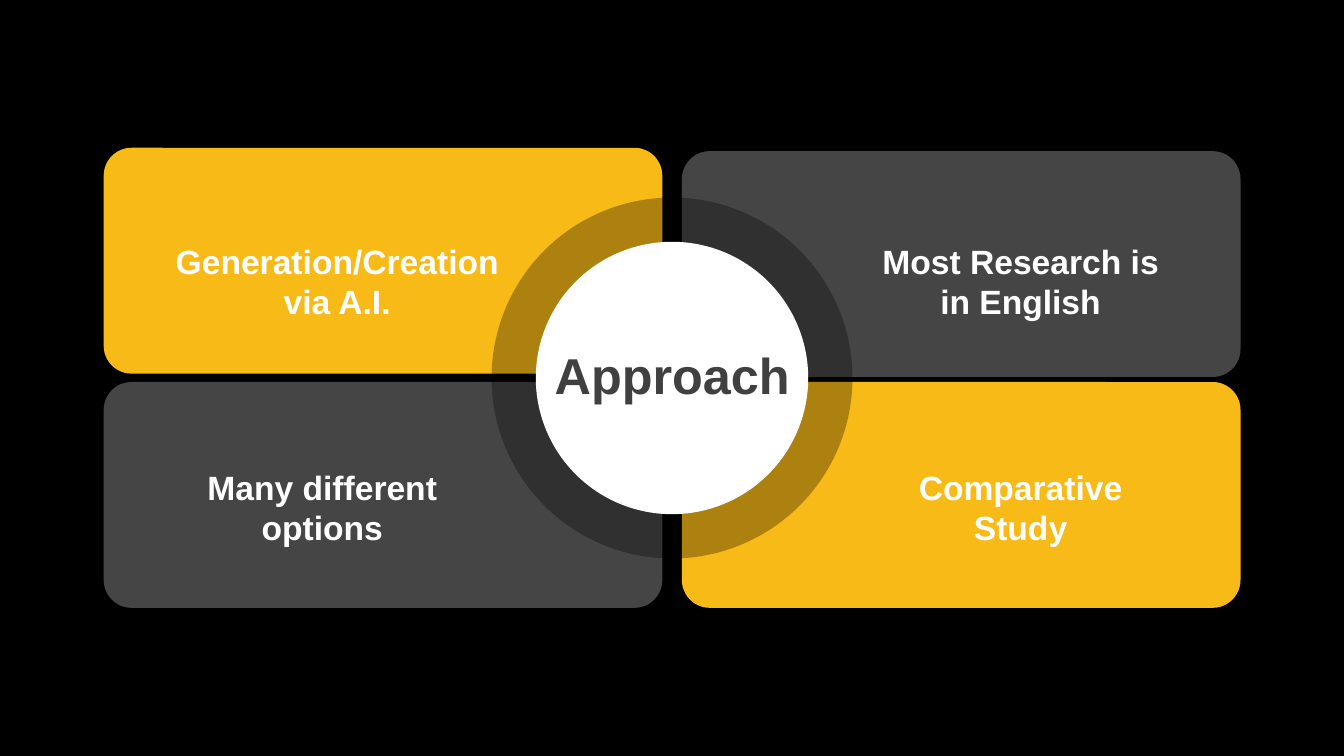
from lxml.etree import SubElement
from pptx import Presentation
from pptx.dml.color import RGBColor
from pptx.enum.shapes import MSO_SHAPE
from pptx.enum.text import MSO_ANCHOR, MSO_AUTO_SIZE, PP_ALIGN
from pptx.oxml.ns import qn
from pptx.util import Pt

BLACK, WHITE, GREY, GOLD, CHARCOAL = "000000", "FFFFFF", "454545", "F8BA16", "404040"


def paint(color, value):
    color.rgb = RGBColor.from_string(value)


class ApproachSlide:
    font = "Arial"

    def __init__(self, deck):
        self.slide = deck.slides.add_slide(deck.slide_layouts[5])
        background = self.slide.background.fill
        background.solid()
        paint(background.fore_color, BLACK)

    def block(self, preset, left, top, width, height, color):
        block = self.slide.shapes.add_shape(
            preset, Pt(left), Pt(top), Pt(width), Pt(height))
        block.shadow.inherit = False
        block.fill.solid()
        paint(block.fill.fore_color, color)
        block.line.fill.background()
        return block

    def card(self, left, top, color):
        card = self.block(MSO_SHAPE.ROUNDED_RECTANGLE, left, top, 399, 161.3, color)
        card.adjustments[0] = 0.123

    def circle(self, diameter, color, opacity=100):
        circle = self.block(MSO_SHAPE.OVAL, 480 - diameter / 2, 270 - diameter / 2,
                            diameter, diameter, color)
        if opacity < 100:
            tint = circle.element.spPr.find(qn("a:solidFill"))[0]
            SubElement(tint, qn("a:alpha"), val=str(opacity * 1000))

    def fill_text(self, holder, wording, size, color):
        frame = holder.text_frame
        frame.word_wrap = True
        frame.auto_size = MSO_AUTO_SIZE.SHAPE_TO_FIT_TEXT
        frame.vertical_anchor = MSO_ANCHOR.TOP
        paragraph = frame.paragraphs[0]
        paragraph.alignment = PP_ALIGN.CENTER
        paragraph.line_spacing = 1.0
        run = paragraph.add_run()
        run.text = wording
        run.font.name = self.font
        run.font.size = Pt(size)
        run.font.bold = True
        paint(run.font.color, color)

    def label(self, wording, left, top, width):
        label = self.slide.shapes.add_textbox(Pt(left), Pt(top), Pt(width), Pt(65.4))
        self.fill_text(label, wording, 24, WHITE)

    def title(self, wording, left, top, width, height):
        title = self.slide.shapes.title
        title.left, title.top = Pt(left), Pt(top)
        title.width, title.height = Pt(width), Pt(height)
        self.fill_text(title, wording, 36, CHARCOAL)
        title.element.getparent().append(title.element)


def main():
    deck = Presentation()
    deck.slide_width, deck.slide_height = Pt(960), Pt(540)
    approach = ApproachSlide(deck)

    for left, top, color in [
        (74.1, 272.9, GREY),
        (487.1, 272.9, GOLD),
        (487.1, 108, GREY),
        (74.1, 105.6, GOLD),
    ]:
        approach.card(left, top, color)

    approach.circle(257.8, BLACK, opacity=30)
    approach.circle(194.6, WHITE)
    approach.title("Approach", 382.3, 241.9, 195.8, 51.1)

    for wording, left, top, width in [
        ("Generation/Creation via A.I.", 115.2, 168.5, 251.3),
        ("Most Research is in English", 614, 168.5, 230),
        ("Many different options", 115.2, 330, 230),
        ("Comparative Study", 614, 330, 230),
    ]:
        approach.label(wording, left, top, width)

    deck.save("out.pptx")


if __name__ == "__main__":
    main()
